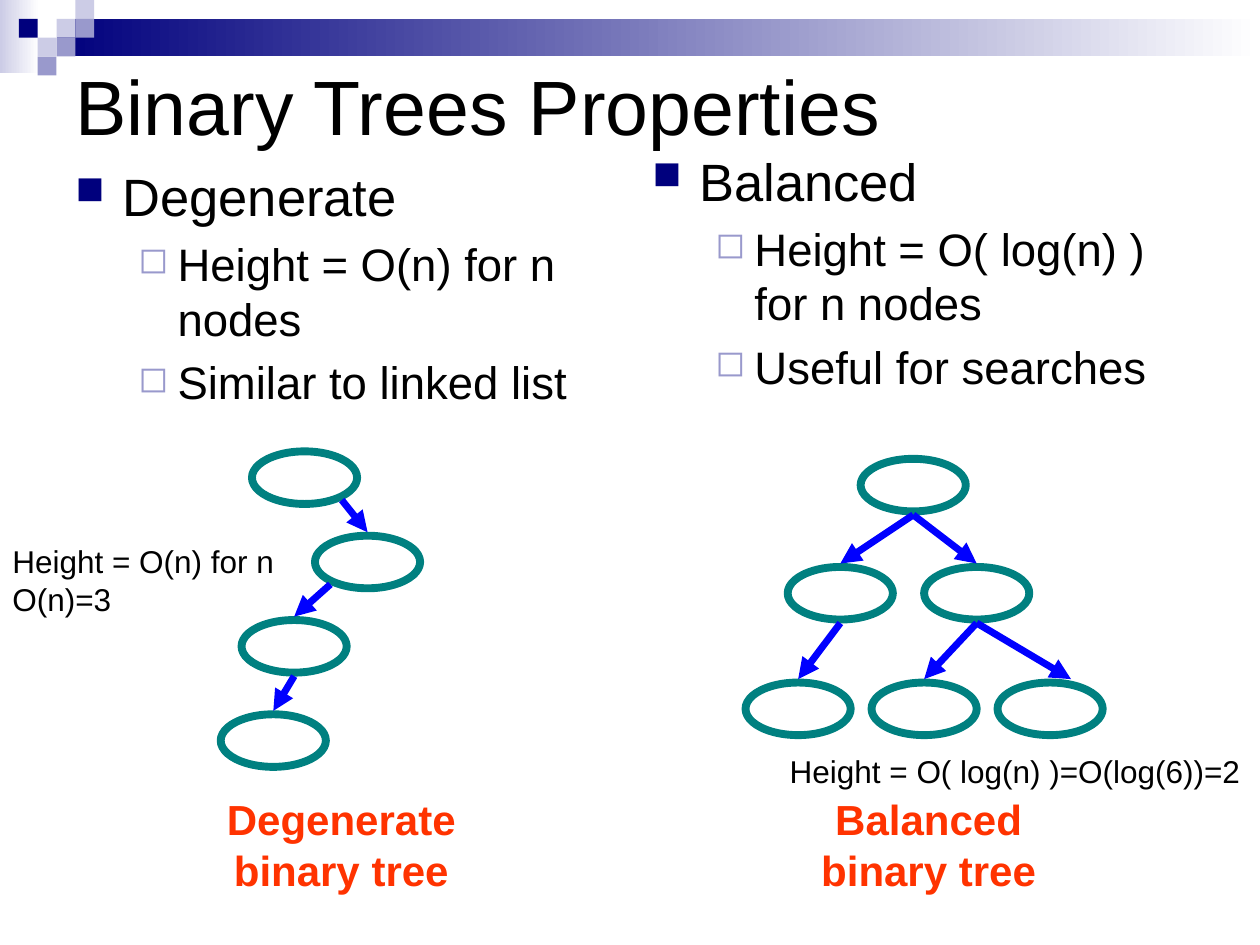
from dataclasses import dataclass

from lxml import etree
from pptx import Presentation
from pptx import util as u
from pptx.dml.color import RGBColor
from pptx.enum import shapes, text
from pptx.oxml import ns

NAVY = RGBColor(0x00, 0x00, 0x7D)
LAVENDER = RGBColor(0x99, 0x99, 0xCC)
PALE = RGBColor(0xCC, 0xCC, 0xE6)
WHITE = RGBColor(0xFF, 0xFF, 0xFF)
BLACK = RGBColor(0x00, 0x00, 0x00)
TEAL = RGBColor(0x00, 0x80, 0x80)
BLUE = RGBColor(0x00, 0x00, 0xFF)
ORANGE = RGBColor(0xFF, 0x33, 0x00)

FONT = "Arial"
TILE = 0.38  # lengths are in centimetres
NODE_W, NODE_H = 2.12, 1.06
EDGE_GAP = 0.07


@dataclass(frozen=True)
class Bullet:
    char: str
    color: RGBColor
    percent: int
    margin: float
    hanging: float
    size: int
    space_before: float


@dataclass(frozen=True)
class Tile:
    column: int
    row: int
    color: RGBColor


@dataclass(frozen=True)
class Node:
    left: float
    top: float


@dataclass(frozen=True)
class Edge:
    """Link between two nodes; the shifts move its ends off the centre line."""
    parent: int
    child: int
    start_dx: float = 0
    start_dy: float = 0
    end_dx: float = 0


TOPIC = Bullet("■", NAVY, 75, 0.95, 0.95, 30, 0)
DETAIL = Bullet("◻", LAVENDER, 80, 2.06, 0.79, 26, 5.2)

TILES = [
    Tile(3, 1, PALE), Tile(4, 0, PALE), Tile(4, 1, LAVENDER),
    Tile(2, 2, PALE), Tile(1, 1, NAVY), Tile(3, 2, LAVENDER),
    Tile(2, 3, LAVENDER),
]

DEGENERATE_NODES = [Node(5.08, 9.1), Node(6.35, 10.8),
                    Node(4.87, 12.5), Node(4.45, 14.4)]
DEGENERATE_EDGES = [Edge(0, 1, 0.75, -0.15), Edge(1, 2, -0.75, -0.15),
                    Edge(2, 3)]

BALANCED_NODES = [Node(17.35, 9.25), Node(15.88, 11.43), Node(18.63, 11.43),
                  Node(15.03, 13.76), Node(17.57, 13.76), Node(20.11, 13.76)]
BALANCED_EDGES = [Edge(0, 1), Edge(0, 2), Edge(1, 3), Edge(2, 4),
                  Edge(2, 5, end_dx=0.42)]


def box(left: float, top: float, width: float, height: float) -> list:
    return [u.Cm(length) for length in (left, top, width, height)]


def add_bullet(paragraph, bullet: Bullet) -> None:
    properties = paragraph._p.get_or_add_pPr()
    properties.set("marL", str(u.Cm(bullet.margin)))
    properties.set("indent", str(-u.Cm(bullet.hanging)))
    color = etree.SubElement(properties, ns.qn("a:buClr"))
    etree.SubElement(color, ns.qn("a:srgbClr"), val=str(bullet.color))
    etree.SubElement(properties, ns.qn("a:buSzPct"),
                     val=str(bullet.percent * 1000))
    etree.SubElement(properties, ns.qn("a:buChar"), char=bullet.char)


def write(frame, lines: list[str], *, size: int = 18, color: RGBColor = BLACK,
          bold: bool = False, wrap: bool = True,
          align=text.PP_ALIGN.LEFT, bullets: list[Bullet] | None = None) -> None:
    """Fill a text frame with one paragraph for each line."""
    frame.word_wrap = wrap
    for index, line in enumerate(lines):
        paragraph = frame.paragraphs[0] if index == 0 else frame.add_paragraph()
        paragraph.alignment = align
        bullet = bullets[index] if bullets else None
        if bullet:
            add_bullet(paragraph, bullet)
            if index:
                paragraph.space_before = u.Pt(bullet.space_before)
        run = paragraph.add_run()
        run.text = line
        run.font.name = FONT
        run.font.size = u.Pt(bullet.size if bullet else size)
        run.font.bold = bold
        run.font.color.rgb = color


def add_text(slide, place: list, lines: list[str], **style) -> None:
    write(slide.shapes.add_textbox(*place).text_frame, lines, **style)


def add_rectangle(slide, place: list, color: RGBColor, fade: bool = False) -> None:
    """Draw a plain rectangle, or one that fades to white on the right."""
    rectangle = slide.shapes.add_shape(shapes.MSO_SHAPE.RECTANGLE, *place)
    rectangle.shadow.inherit = False
    rectangle.line.fill.background()
    if fade:
        rectangle.fill.gradient()
        rectangle.fill.gradient_angle = 0
        for stop, stop_color in zip(rectangle.fill.gradient_stops, (color, WHITE)):
            stop.color.rgb = stop_color
    else:
        rectangle.fill.solid()
        rectangle.fill.fore_color.rgb = color


def add_node(slide, node: Node) -> None:
    oval = slide.shapes.add_shape(shapes.MSO_SHAPE.OVAL,
                                  *box(node.left, node.top, NODE_W, NODE_H))
    oval.shadow.inherit = False
    oval.fill.background()
    oval.line.color.rgb = TEAL
    oval.line.width = u.Pt(4.5)


def add_edge(slide, parent: Node, child: Node, edge: Edge) -> None:
    arrow = slide.shapes.add_connector(
        shapes.MSO_CONNECTOR.STRAIGHT,
        u.Cm(parent.left + NODE_W / 2 + edge.start_dx),
        u.Cm(parent.top + NODE_H + EDGE_GAP + edge.start_dy),
        u.Cm(child.left + NODE_W / 2 + edge.end_dx),
        u.Cm(child.top - EDGE_GAP))
    arrow.line.color.rgb = BLUE
    arrow.line.width = u.Pt(4)
    etree.SubElement(arrow.line._get_or_add_ln(), ns.qn("a:tailEnd"),
                     type="triangle")
    etree.SubElement(arrow._element.spPr, ns.qn("a:effectLst"))


def add_tree(slide, nodes: list[Node], edges: list[Edge]) -> None:
    for node in nodes:
        add_node(slide, node)
    for edge in edges:
        add_edge(slide, nodes[edge.parent], nodes[edge.child], edge)


def main() -> None:
    deck = Presentation()
    deck.slide_width, deck.slide_height = u.Cm(25.4), u.Cm(19.05)
    slide = deck.slides.add_slide(deck.slide_layouts[5])

    add_rectangle(slide, box(0, 0, 0.79, 1.47), PALE, fade=True)
    add_rectangle(slide, box(3 * TILE, TILE, 24.26, 2 * TILE), NAVY, fade=True)
    for tile in TILES:
        add_rectangle(slide, box(tile.column * TILE, tile.row * TILE, TILE, TILE),
                      tile.color)

    title = slide.shapes.title
    title.left, title.top, title.width, title.height = box(1.27, 0.2, 22.86, 3.81)
    title.text_frame.vertical_anchor = text.MSO_ANCHOR.MIDDLE
    write(title.text_frame, ["Binary Trees Properties"], size=44)

    outline = [TOPIC, DETAIL, DETAIL]
    add_text(slide, box(1.27, 3.18, 11.13, 12.57),
             ["Degenerate", "Height = O(n) for n nodes",
              "Similar to linked list"], bullets=outline)
    add_text(slide, box(12.9, 2.87, 10.62, 12.57),
             ["Balanced", "Height = O( log(n) ) for n nodes",
              "Useful for searches"], bullets=outline)

    add_tree(slide, DEGENERATE_NODES, DEGENERATE_EDGES)
    add_tree(slide, BALANCED_NODES, BALANCED_EDGES)

    for left, caption in ((4.24, "Degenerate binary tree"),
                          (16.08, "Balanced binary tree")):
        add_text(slide, box(left, 15.88, 5.28, 2.29), [caption], size=24,
                 color=ORANGE, bold=True, align=text.PP_ALIGN.CENTER)
    add_text(slide, box(0, 10.8, 5.84, 1.8),
             ["Height = O(n) for n", "O(n)=3"], wrap=False)
    add_text(slide, box(15.67, 15.04, 9.86, 1.02),
             ["Height = O( log(n) )=O(log(6))=2"], wrap=False)

    deck.save("out.pptx")


if __name__ == "__main__":
    main()
